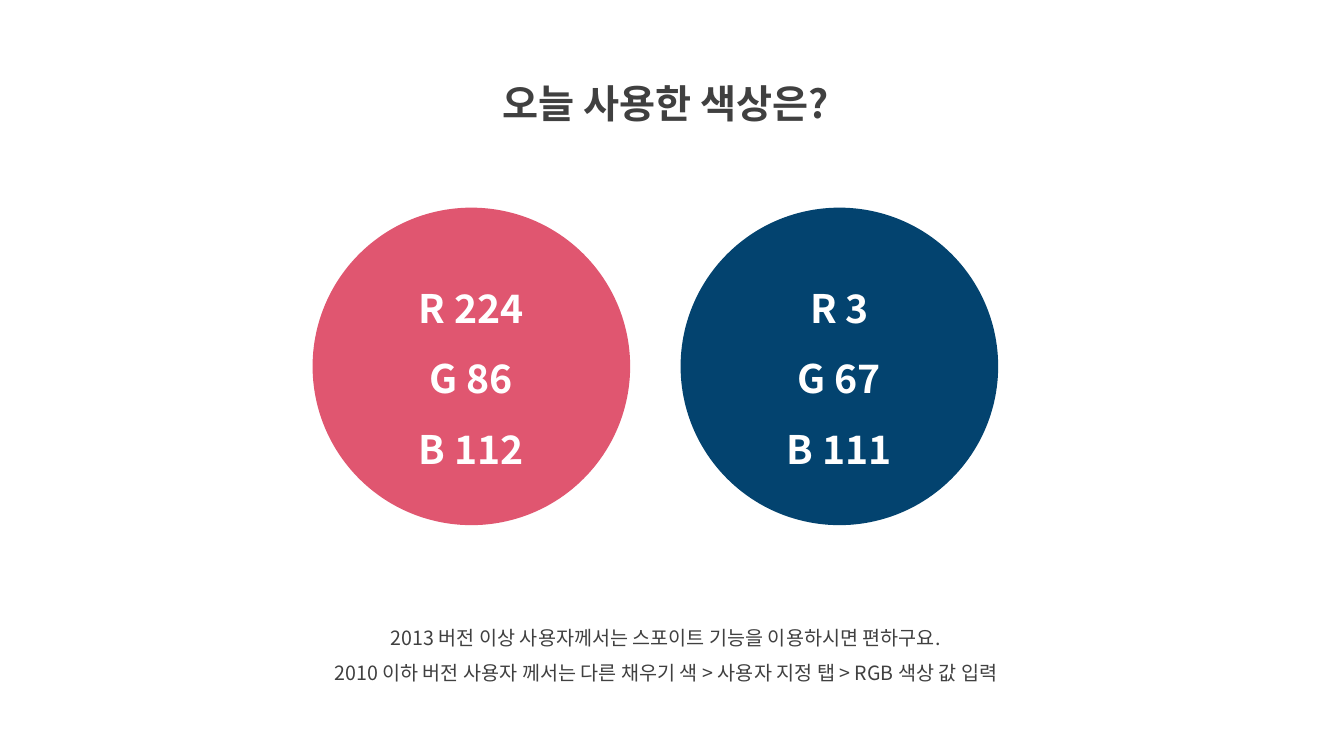
from lxml.etree import SubElement
from pptx import Presentation
from pptx.dml.color import RGBColor
from pptx.enum.shapes import MSO_SHAPE as Shape
from pptx.enum.text import MSO_ANCHOR as Anchor, MSO_AUTO_SIZE as Fit, PP_ALIGN as Align
from pptx.oxml.ns import qn
from pptx.util import Inches, Pt

FONT = "Noto Sans CJK KR"
GREY, WHITE = "404040", "FFFFFF"
TITLE = "오늘 사용한 색상은?"
NOTES = [
    "2013 버전 이상 사용자께서는 스포이트 기능을 이용하시면 편하구요.",
    "2010 이하 버전 사용자 께서는 다른 채우기 색 > 사용자 지정 탭 > RGB 색상 값 입력",
]
SWATCHES = [(224, 86, 112), (3, 67, 111)]
LEFT, TOP, SIZE, GAP = 3.1, 2.06, 3.15, 0.5


def color(code):
    return RGBColor.from_string(code)


def write(shape, lines, size, code, bold=False, anchor=Anchor.TOP, fit=Fit.NONE):
    frame = shape.text_frame
    frame.word_wrap = True
    frame.auto_size = fit
    frame.vertical_anchor = anchor
    for i, line in enumerate(lines):
        para = frame.add_paragraph() if i else frame.paragraphs[0]
        para.alignment = Align.CENTER
        para.line_spacing = 1.5
        run = para.add_run()
        run.text = line
        font = run.font
        font.name, font.size, font.bold = FONT, Pt(size), bold
        font.color.rgb = color(code)
        # Korean glyphs take the East Asian typeface
        SubElement(run._r.get_or_add_rPr(), qn("a:ea"), typeface=FONT)


def main():
    deck = Presentation()
    deck.slide_width, deck.slide_height = Inches(13.33), Inches(7.5)
    slide = deck.slides.add_slide(deck.slide_layouts[5])

    title = slide.shapes.title
    title.left, title.top = Inches(4.29), Inches(0.5)
    title.width, title.height = Inches(4.63), Inches(0.72)
    write(title, [TITLE], 28, GREY, bold=True, fit=Fit.SHAPE_TO_FIT_TEXT)

    notes = slide.shapes.add_textbox(Inches(2.61), Inches(6.04), Inches(7.99), Inches(0.81))
    write(notes, NOTES, 14, GREY, fit=Fit.SHAPE_TO_FIT_TEXT)

    for i, levels in enumerate(SWATCHES):
        left = LEFT + i * (SIZE + GAP)
        disc = slide.shapes.add_shape(
            Shape.OVAL, Inches(left), Inches(TOP), Inches(SIZE), Inches(SIZE))
        disc.shadow.inherit = False
        disc.fill.solid()
        disc.fill.fore_color.rgb = color("%02X%02X%02X" % levels)
        disc.line.fill.background()
        lines = [f"{name} {level}" for name, level in zip("RGB", levels)]
        write(disc, lines, 28, WHITE, bold=True, anchor=Anchor.MIDDLE)

    deck.save("out.pptx")


if __name__ == "__main__":
    main()
